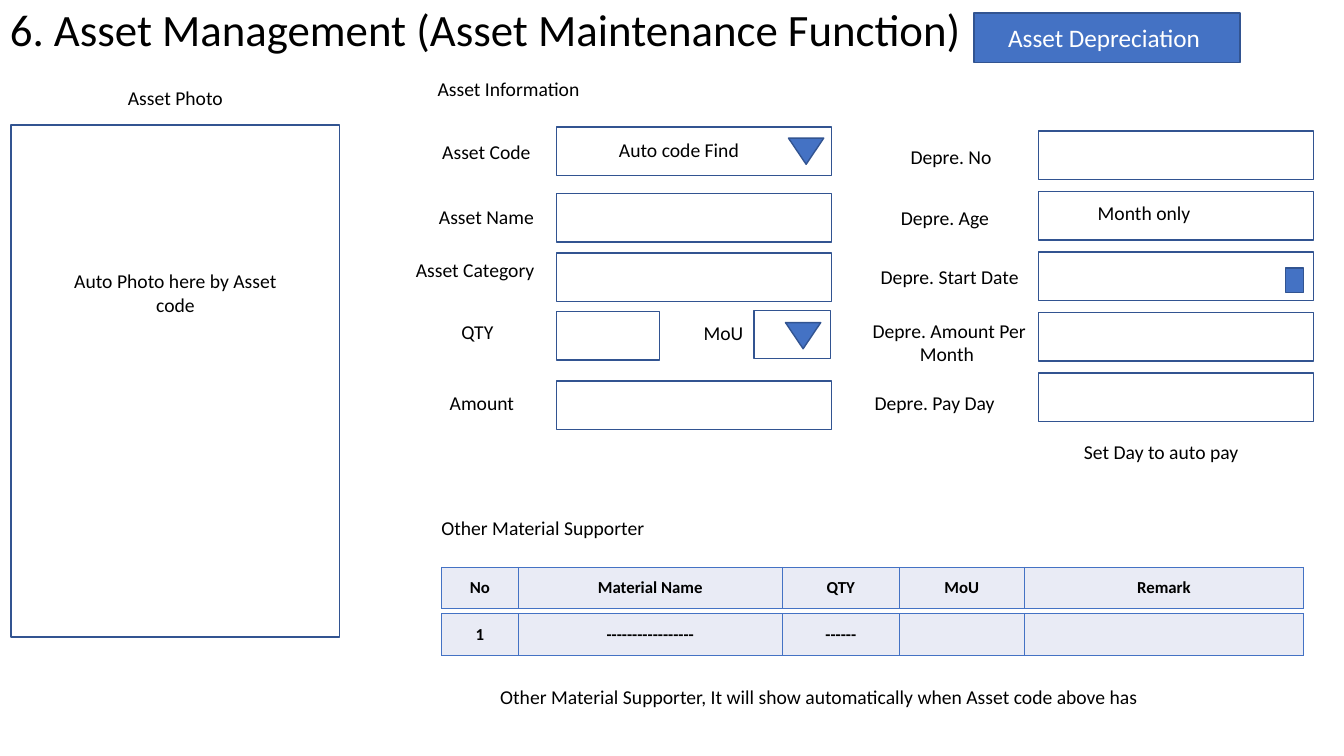
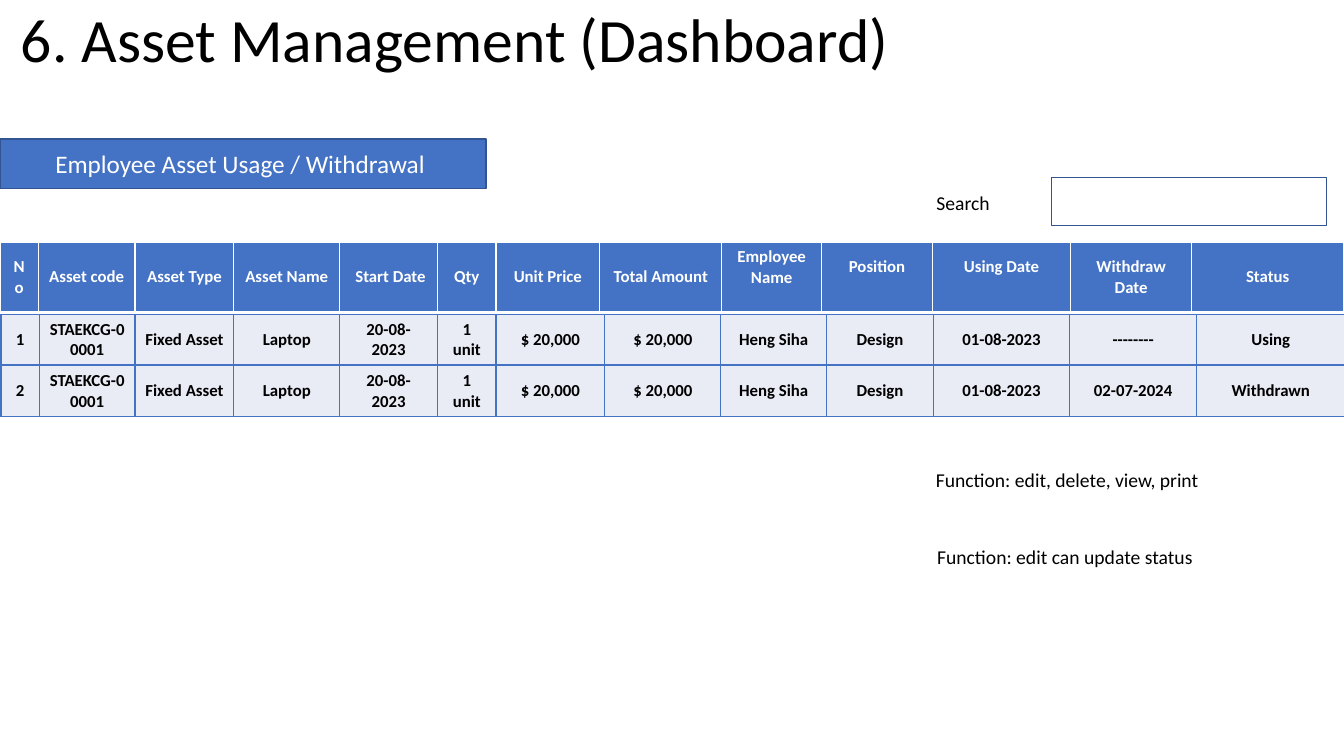
from dataclasses import dataclass

from lxml.etree import SubElement
from pptx import Presentation
from pptx.dml.color import RGBColor
from pptx.enum.shapes import MSO_SHAPE as Preset
from pptx.enum.text import MSO_ANCHOR as Anchor, PP_ALIGN as Align
from pptx.oxml.ns import qn
from pptx.util import Inches, Pt


@dataclass(frozen=True)
class Theme:
    """Colours, font and sizes shared by the slides."""
    font: str = "Calibri"
    black: str = "000000"
    white: str = "FFFFFF"
    blue: str = "4472C4"
    outline: str = "325491"
    pale: str = "E9EBF5"
    label_size: int = 14
    button_size: int = 18
    cell_size: int = 12
    line: float = 1
    label_height: float = 0.49
    field_width: float = 2.73
    field_height: float = 0.48


THEME = Theme()
MATERIAL_WIDTHS = [0.76, 2.62, 1.16, 1.24, 2.77]
HEADER_WIDTHS = [0.38, 0.96, 0.98, 1.05, 0.97, 0.58, 1.03,
                 1.21, 0.99, 1.1, 1.37, 1.2, 1.51]
ASSET_WIDTHS = [0.38, 0.95, 0.98, 1.05, 0.97, 0.58, 1.08,
                1.15, 1.05, 1.06, 1.35, 1.26, 1.47]
HEADERS = ["No", "Asset code", "Asset Type", "Asset Name", " Start Date",
           "Qty", "Unit Price", "Total Amount", "Employee Name", "Position",
           "Using Date", "Withdraw Date", "Status"]
RAISED_HEADERS = {"Employee Name", "Position", "Using Date"}
ASSET = ["STAEKCG-00001", "Fixed Asset", "Laptop", "20-08-2023", "1 unit",
         "$ 20,000", "$ 20,000", "Heng Siha", "Design", "01-08-2023"]


def write(frame, text, size, color, align=Align.CENTER, bold=False):
    """Put formatted text into a text frame."""
    frame.text = text
    para = frame.paragraphs[0]
    para.alignment = align
    for span in para.runs:
        span.font.name = THEME.font
        span.font.size = Pt(size)
        span.font.bold = bold
        span.font.color.rgb = RGBColor.from_string(color)
    return para


def add_text(page, left, top, width, height, anchor):
    """Add an empty wrapping text box and return its frame."""
    box = page.shapes.add_textbox(*map(Inches, (left, top, width, height)))
    frame = box.text_frame
    frame.word_wrap = True
    frame.vertical_anchor = anchor
    return frame


def add_title(page, text, left, top, width, height, size):
    """Add a slide title."""
    frame = add_text(page, left, top, width, height, Anchor.TOP)
    para = write(frame, text, size, THEME.black, Align.LEFT)
    para.line_spacing = 0.9


def add_label(page, text, left, top, width):
    """Add a centred caption."""
    frame = add_text(page, left, top, width, THEME.label_height, Anchor.MIDDLE)
    write(frame, text, THEME.label_size, THEME.black)


def add_box(page, left, top, width=THEME.field_width,
            height=THEME.field_height, fill=None, preset=Preset.RECTANGLE):
    """Add an outlined shape, hollow unless a fill is given."""
    box = page.shapes.add_shape(
        preset, *map(Inches, (left, top, width, height)))
    box.shadow.inherit = False
    box.line.color.rgb = RGBColor.from_string(THEME.outline)
    box.line.width = Pt(THEME.line)
    if fill:
        box.fill.solid()
        box.fill.fore_color.rgb = RGBColor.from_string(fill)
    else:
        box.fill.background()
    return box


def add_button(page, text, left, top, width):
    """Add a filled button with white text."""
    box = add_box(page, left, top, width, THEME.label_height, THEME.blue)
    box.text_frame.word_wrap = True
    box.text_frame.vertical_anchor = Anchor.MIDDLE
    write(box.text_frame, text, THEME.button_size, THEME.white)


def add_dropdown_arrow(page, left, top):
    """Add a downward triangle."""
    arrow = add_box(page, left, top, 0.35, 0.26, THEME.blue,
                    Preset.ISOSCELES_TRIANGLE)
    arrow.rotation = 180


def set_borders(cell, color, bottom_width):
    """Draw the four borders of a cell."""
    properties = cell._tc.get_or_add_tcPr()
    for index, side in enumerate(("lnL", "lnR", "lnT", "lnB")):
        width = bottom_width if side == "lnB" else THEME.line
        line = properties.makeelement(qn(f"a:{side}"), {"w": str(Pt(width))})
        properties.insert(index, line)
        fill = SubElement(line, qn("a:solidFill"))
        SubElement(fill, qn("a:srgbClr"), val=color)


def add_row(page, values, widths, left, top, height, header=False):
    """Add a one-row table."""
    sizes = map(Inches, (left, top, sum(widths), height))
    table = page.shapes.add_table(1, len(values), *sizes).table
    table.rows[0].height = Inches(height)
    fill, ink, border, bottom = (
        (THEME.blue, THEME.white, THEME.white, 3) if header
        else (THEME.pale, THEME.black, THEME.blue, THEME.line))
    for index, (value, width) in enumerate(zip(values, widths)):
        table.columns[index].width = Inches(width)
        cell = table.cell(0, index)
        cell.vertical_anchor = Anchor.MIDDLE
        cell.fill.solid()
        cell.fill.fore_color.rgb = RGBColor.from_string(fill)
        set_borders(cell, border, bottom)
        write(cell.text_frame, value, THEME.cell_size, ink, bold=True)
        if header and value in RAISED_HEADERS:
            cell.margin_bottom = Inches(0.25)


def add_asset_fields(page):
    """Add the asset information form."""
    add_label(page, "Asset Information", 4.06, 0.63, 1.97)
    for text, left, label_top, width, top, field_width in (
            ("Asset Code", 4.04, 1.26, 1.57, 1.26, THEME.field_width),
            ("Asset Name", 4.04, 1.9, 1.57, 1.92, THEME.field_width),
            ("Asset Category ", 3.95, 2.43, 1.57, 2.51, THEME.field_width),
            ("QTY", 3.95, 3.05, 1.57, 3.09, 1.02),
            ("Amount", 3.86, 3.75, 1.84, 3.78, THEME.field_width)):
        add_label(page, text, left, label_top, width)
        add_box(page, 5.52, top, field_width)
    add_label(page, "Auto code Find", 5.7, 1.24, 2.07)
    add_dropdown_arrow(page, 7.82, 1.37)
    add_label(page, "MoU", 6.53, 3.06, 1.29)
    add_box(page, 7.48, 3.08, 0.76)
    add_dropdown_arrow(page, 7.79, 3.2)


def add_depreciation_fields(page):
    """Add the depreciation form."""
    for index, (text, left, top, width) in enumerate((
            ("Depre. No ", 8.57, 1.31, 1.77),
            ("Depre. Age ", 8.51, 1.91, 1.77),
            ("Depre. Start Date", 8.5, 2.5, 1.84),
            ("Depre. Amount Per Month ", 8.55, 3.15, 1.73),
            ("Depre. Pay Day", 8.35, 3.75, 1.84))):
        add_label(page, text, left, top, width)
        add_box(page, 10.3, 1.3 + 0.6 * index)
    add_label(page, "Month only ", 10.34, 1.86, 2.06)
    add_box(page, 12.75, 2.66, 0.18, 0.24, THEME.blue)
    add_label(page, "Set Day to auto pay ", 10.51, 4.24, 2.06)


def build_maintenance(page):
    """Build the asset maintenance form."""
    add_title(page, "6. Asset Management (Asset Maintenance Function)",
              0, 0.03, 10.04, 0.59, 32)
    add_button(page, "Asset Depreciation ", 9.66, 0.13, 2.64)
    add_label(page, "Asset Photo", 1.04, 0.72, 1.4)
    add_box(page, 0.11, 1.24, 3.26, 5.08)
    add_label(page, "Auto Photo here by Asset code", 0.48, 2.66, 2.52)
    add_asset_fields(page)
    add_depreciation_fields(page)
    add_label(page, "Other Material Supporter", 4.08, 4.99, 2.61)
    for top, values in (
            (5.63, ["No", "Material Name", "QTY", "MoU", "Remark"]),
            (6.09, ["1", "-----------------", "------", "", ""])):
        add_row(page, values, MATERIAL_WIDTHS, 4.38, top, 0.41)
    add_label(page, "Other Material Supporter, It will show automatically "
              "when Asset code above has", 4.71, 6.67, 6.83)


def build_dashboard(page):
    """Build the asset dashboard."""
    add_title(page, "6. Asset Management (Dashboard)",
              0.11, 0.04, 11.5, 0.85, 44)
    add_button(page, "Employee Asset Usage / Withdrawal ", 0, 1.38, 4.82)
    add_label(page, "Search ", 8.69, 1.77, 1.77)
    add_box(page, 10.43, 1.76)
    add_row(page, HEADERS, HEADER_WIDTHS, 0, 2.4, 0.7, header=True)
    for index, ending in enumerate((["--------", "Using"],
                                    ["02-07-2024", "Withdrawn"])):
        add_row(page, [str(index + 1), *ASSET, *ending], ASSET_WIDTHS,
                0.01, 3.12 + 0.51 * index, 0.5)
    add_label(page, "Function: edit, delete, view, print", 8.41, 4.51, 4.35)
    add_label(page, "Function: edit can update status ", 8.41, 5.28, 4.35)


def main():
    """Build and save the deck."""
    deck = Presentation()
    deck.slide_width = Inches(13.33)
    deck.slide_height = Inches(7.5)
    for build in (build_maintenance, build_dashboard):
        build(deck.slides.add_slide(deck.slide_layouts[6]))
    deck.save("out.pptx")


if __name__ == "__main__":
    main()
